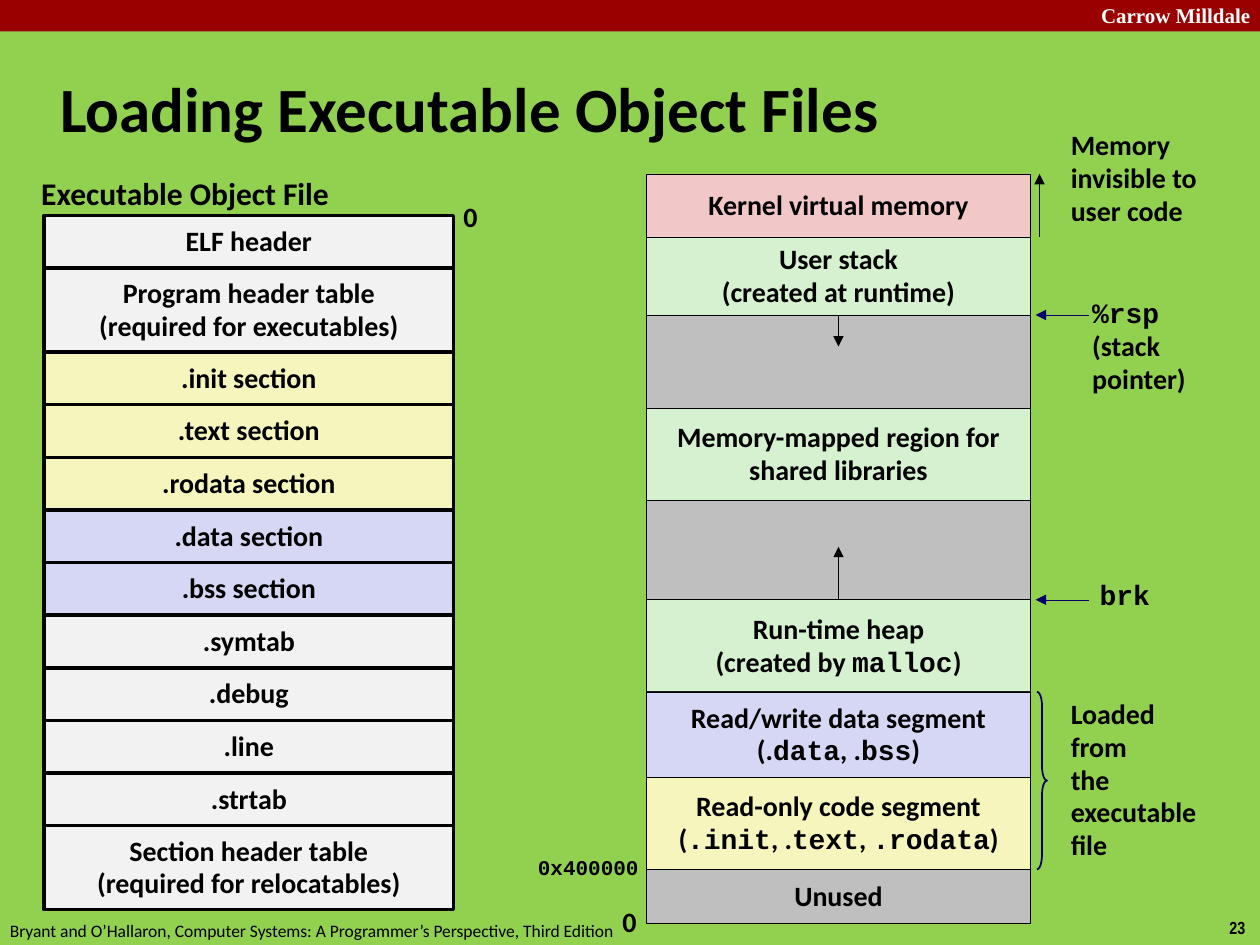
from dataclasses import dataclass

from lxml import etree
from pptx import Presentation, util as u
from pptx.dml.color import RGBColor
from pptx.enum import shapes, text
from pptx.oxml.ns import qn


@dataclass(frozen=True)
class Theme:
    """Colours, fonts and type sizes of the slide."""
    background: str = "92D050"
    banner: str = "990000"
    ink: str = "000000"
    white: str = "FFFFFF"
    pointer: str = "000066"
    header: str = "F2F2F2"
    code: str = "F6F5BD"
    data: str = "D6D6F5"
    kernel: str = "F1C7C7"
    dynamic: str = "D5F1CF"
    unused: str = "BFBFBF"
    body_font: str = "Calibri"
    mono_font: str = "Courier New"
    brand_font: str = "Times New Roman"
    number_font: str = "Arial Narrow"
    title: int = 36
    heading: int = 18
    body: int = 16
    small: int = 12
    footer: int = 10
    thick: float = 2
    hair: float = 0.25
    spacing: float = 0.98


THEME = Theme()
CENTER = text.PP_ALIGN.CENTER
LEFT = text.PP_ALIGN.LEFT

# Each row: words, colour, share of the height. Words in backticks are code.
FILE_ROWS = [
    ("ELF header", THEME.header, 1),
    ("Program header table\n(required for executables)", THEME.header, 1.6),
    (".init section", THEME.code, 1),
    (".text section", THEME.code, 1),
    (".rodata section", THEME.code, 1),
    (".data section", THEME.data, 1),
    (".bss section", THEME.data, 1),
    (".symtab", THEME.header, 1),
    (".debug", THEME.header, 1),
    (".line", THEME.header, 1),
    (".strtab", THEME.header, 1),
    ("Section header table\n(required for relocatables)", THEME.header, 1.6),
]
MEMORY_ROWS = [
    ("Kernel virtual memory", THEME.kernel, 0.5),
    ("User stack\n(created at runtime)", THEME.dynamic, 0.62),
    ("", THEME.unused, 0.74),
    ("Memory-mapped region for\nshared libraries", THEME.dynamic, 0.73),
    ("", THEME.unused, 0.79),
    ("Run-time heap\n(created by `malloc`)", THEME.dynamic, 0.73),
    ("Read/write data segment\n(.`data`, .`bss`)", THEME.data, 0.68),
    ("Read-only code segment\n(`.init`, .`text`, `.rodata`)", THEME.code, 0.73),
    ("Unused", THEME.unused, 0.43),
]


def rgb(value):
    return RGBColor.from_string(value)


def write(shape, words, size=THEME.body, font=THEME.body_font, color=THEME.ink,
          bold=True, align=LEFT, spacing=THEME.spacing, wrap=False):
    """Fill a shape with one paragraph a line, setting backticked words in code type."""
    frame = shape.text_frame
    frame.word_wrap = wrap
    for index, line in enumerate(words.split("\n")):
        paragraph = frame.paragraphs[0] if index == 0 else frame.add_paragraph()
        paragraph.alignment = align
        paragraph.line_spacing = spacing
        paragraph.font.size = u.Pt(size)
        paragraph.font.bold = bold
        paragraph.font.name = font
        paragraph.font.color.rgb = rgb(color)
        for part, piece in enumerate(line.split("`")):
            if piece:
                run = paragraph.add_run()
                run.text = piece
                if part % 2:
                    run.font.name = THEME.mono_font


def add_label(slide, box, words, anchor=text.MSO_ANCHOR.TOP, **style):
    """Place a text box."""
    label = slide.shapes.add_textbox(*map(u.Inches, box))
    label.text_frame.vertical_anchor = anchor
    write(label, words, **style)


def add_block(slide, box, fill=None, line=None, width=THEME.hair,
              kind=shapes.MSO_SHAPE.RECTANGLE):
    """Place a flat preset shape."""
    block = slide.shapes.add_shape(kind, *map(u.Inches, box))
    block.shadow.inherit = False
    if fill:
        block.fill.solid()
        block.fill.fore_color.rgb = rgb(fill)
    else:
        block.fill.background()
    if line:
        block.line.color.rgb = rgb(line)
        block.line.width = u.Pt(width)
    else:
        block.line.fill.background()
    return block


def add_arrow(slide, start, end, color=THEME.ink):
    """Draw a hairline arrow that points at its end."""
    arrow = slide.shapes.add_connector(
        shapes.MSO_CONNECTOR.STRAIGHT, *map(u.Inches, (*start, *end)))
    arrow.line.color.rgb = rgb(color)
    arrow.line.width = u.Pt(THEME.hair)
    etree.SubElement(arrow.line._get_or_add_ln(), qn("a:tailEnd"), type="triangle")
    etree.SubElement(arrow._element.spPr, qn("a:effectLst"))


def add_stack(slide, box, rows, width):
    """Stack rows by share of the box height; return the edges between them."""
    left, top, across, height = box
    unit = height / sum(share for _, _, share in rows)
    edges = [top]
    for words, fill, share in rows:
        block = add_block(slide, (left, edges[-1], across, share * unit),
                          fill, THEME.ink, width)
        block.text_frame.vertical_anchor = text.MSO_ANCHOR.MIDDLE
        if words:
            write(block, words, align=CENTER)
        edges.append(edges[-1] + share * unit)
    return edges


def add_frame(slide, width, height):
    """Place the banner, title, footer and slide number."""
    add_block(slide, (0, 0, width, height / 30), THEME.banner)
    add_label(slide, (width - 1.36, -0.03, 1.43, 0.3), "Carrow Milldale", size=THEME.small,
              font=THEME.brand_font, color=THEME.white, spacing=1)
    add_label(slide, (width - 0.34, height - 0.27, 0.34, 0.27), "23", size=THEME.footer,
              font=THEME.number_font, spacing=1)
    add_label(slide, (-0.02, height - 0.25, 5.08, 0.27),
              "Bryant and O’Hallaron, Computer Systems: "
              "A Programmer’s Perspective, Third Edition",
              size=THEME.footer, bold=False, spacing=1)
    add_label(slide, (0.38, 0.42, 9.53, 0.86), "Loading Executable Object Files",
              anchor=text.MSO_ANCHOR.MIDDLE, size=THEME.title, spacing=1, wrap=True)


def add_object_file(slide, box):
    """Draw the sections of the object file with heading and start offset."""
    left, top, width, _ = box
    add_stack(slide, box, FILE_ROWS, THEME.thick)
    add_label(slide, (left + width - 0.02, top - 0.16, 0.31, 0.37), "0")
    add_label(slide, (left - 0.13, top - 0.36, 2.5, 0.4), "Executable Object File",
              size=THEME.heading, align=CENTER)


def add_memory(slide, box):
    """Draw the address space with its arrows and notes."""
    left, top, width, height = box
    right, bottom, middle = left + width, top + height, left + width / 2
    edges = add_stack(slide, box, MEMORY_ROWS, THEME.hair)
    kernel_end, stack_end, heap_top, loaded_top, loaded_end = (
        edges[row] for row in (1, 2, 5, 6, 8))

    add_arrow(slide, (middle, stack_end), (middle, stack_end + 0.25))
    add_arrow(slide, (middle, heap_top), (middle, heap_top - 0.42))
    add_arrow(slide, (right + 0.07, kernel_end), (right + 0.07, top))
    for level in (stack_end, heap_top):
        add_arrow(slide, (right + 0.46, level), (right + 0.04, level), THEME.pointer)

    brace = add_block(slide, (right + 0.05, loaded_top, 0.08, loaded_end - loaded_top),
                      line=THEME.pointer, width=1, kind=shapes.MSO_SHAPE.RIGHT_BRACE)
    brace.adjustments[0] = 1.42

    notes = right + 0.22
    add_label(slide, (notes, top - 0.4, 1.44, 0.9), "Memory\ninvisible to user code", wrap=True)
    add_label(slide, (notes + 0.17, stack_end - 0.19, 0.95, 0.88),
              "`%rsp`\n(stack\npointer)")
    add_label(slide, (notes + 0.23, heap_top - 0.2, 0.6, 0.36), "brk",
              font=THEME.mono_font, spacing=0.94)
    add_label(slide, (notes, loaded_top, 1.26, 1.42), "Loaded\nfrom\nthe\nexecutable\nfile")
    add_label(slide, (left - 0.96, loaded_end - 0.15, 1.01, 0.3), "0x400000",
              size=THEME.small, font=THEME.mono_font, spacing=0.94)
    add_label(slide, (left - 0.29, bottom - 0.19, 0.31, 0.37), "0")


presentation = Presentation()
presentation.slide_width, presentation.slide_height = u.Inches(10), u.Inches(7.5)
slide = presentation.slides.add_slide(presentation.slide_layouts[6])
slide.background.fill.solid()
slide.background.fill.fore_color.rgb = rgb(THEME.background)
add_frame(slide, 10, 7.5)
add_object_file(slide, (0.35, 1.71, 3.25, 5.51))
add_memory(slide, (5.13, 1.38, 3.05, 5.95))
presentation.save("out.pptx")
